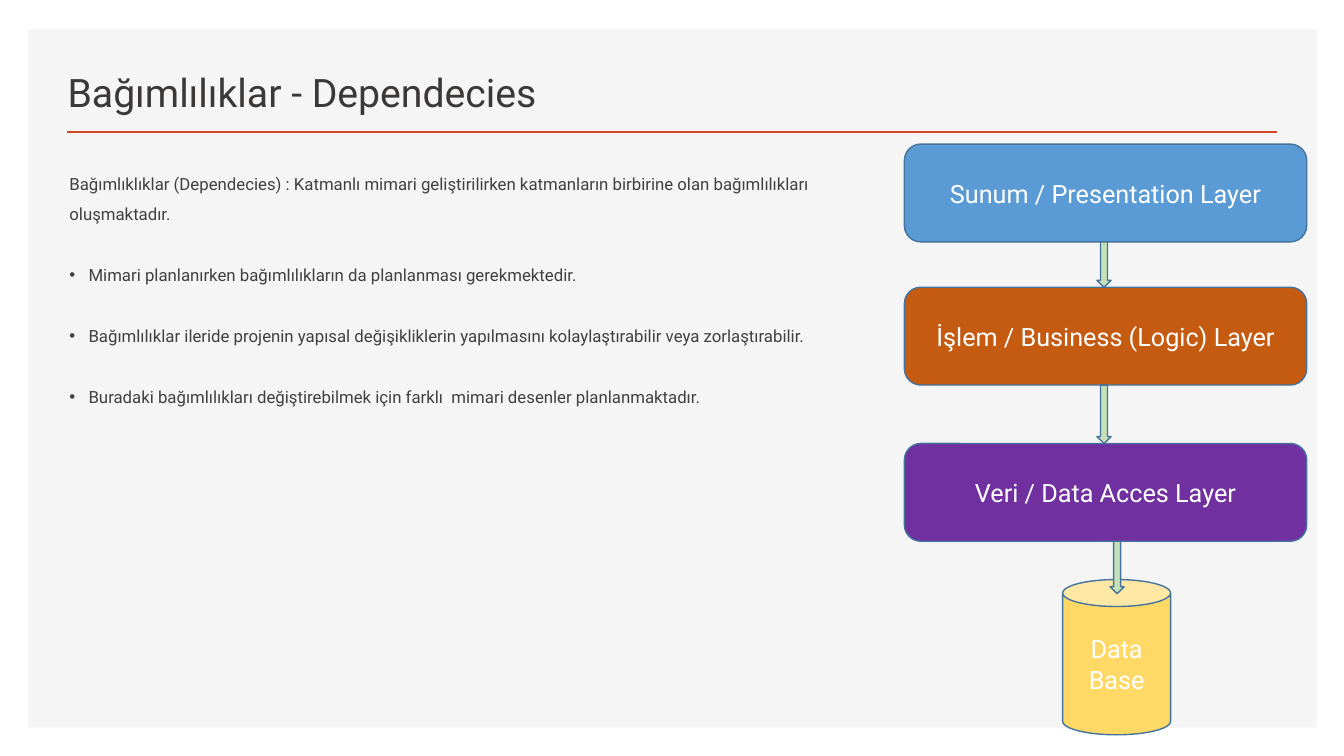
from lxml.etree import SubElement
from pptx import Presentation
from pptx.dml.color import RGBColor
from pptx.enum.shapes import MSO_CONNECTOR, MSO_SHAPE
from pptx.enum.text import MSO_ANCHOR, MSO_AUTO_SIZE, PP_ALIGN
from pptx.oxml.ns import qn
from pptx.util import Inches, Pt

FONT = "Roboto"
OUTLINE = "43739E"
TITLE = "Bağımlılıklar - Dependecies"
INTRO = ("Bağımlıklıklar (Dependecies) : Katmanlı mimari geliştirilirken katmanların "
         "birbirine olan bağımlılıkları oluşmaktadır.")
BULLETS = [
    "Mimari planlanırken bağımlılıkların da planlanması gerekmektedir.",
    "Bağımlılıklar ileride projenin yapısal değişikliklerin yapılmasını kolaylaştırabilir veya zorlaştırabilir.",
    "Buradaki bağımlılıkları değiştirebilmek için farklı  mimari desenler planlanmaktadır.",
]
LAYER_LEFT, LAYER_WIDTH, LAYER_HEIGHT = 8.97, 3.99, 0.97
LAYERS = [
    ("Sunum / Presentation Layer", 1.43, "5B9BD5"),
    ("İşlem / Business (Logic) Layer", 2.85, "C55A11"),
    ("Veri / Data Acces Layer", 4.4, "7030A0"),
]
DATABASE = ("Data\vBase", (10.54, 5.75, 1.07, 1.54), "FFD966")
ARROW_WIDTH = 0.14
ARROWS = [(10.95, 2.85), (10.95, 4.4), (11.08, 5.89)]


def color(value):
    return RGBColor.from_string(value)


def style(paragraph, size, value, align=PP_ALIGN.LEFT):
    paragraph.alignment = align
    paragraph.font.name = FONT
    paragraph.font.size = Pt(size)
    paragraph.font.color.rgb = color(value)


def add_block(page, kind, area, fill, text="", outline=OUTLINE):
    block = page.shapes.add_shape(kind, *map(Inches, area))
    block.shadow.inherit = False
    block.fill.solid()
    block.fill.fore_color.rgb = color(fill)
    if outline:
        block.line.color.rgb = color(outline)
        block.line.width = Pt(1)
    else:
        block.line.fill.background()
    if text:
        frame = block.text_frame
        frame.vertical_anchor = MSO_ANCHOR.MIDDLE
        paragraph = frame.paragraphs[0]
        paragraph.text = text
        style(paragraph, 18, "FFFFFF", PP_ALIGN.CENTER)
    return block


def add_title(page):
    title = page.shapes.title
    title.element.getparent().append(title.element)
    title.left, title.top, title.width, title.height = map(Inches, (0.57, 0.49, 7.52, 0.7))
    frame = title.text_frame
    frame.text = TITLE
    frame.auto_size = MSO_AUTO_SIZE.NONE
    frame.vertical_anchor = MSO_ANCHOR.BOTTOM
    style(frame.paragraphs[0], 28, "3B3838")


def add_rule(page):
    rule = page.shapes.add_connector(
        MSO_CONNECTOR.STRAIGHT, *map(Inches, (0.66, 1.31, 12.67, 1.31)))
    rule.line.color.rgb = color("D24726")
    rule.line.width = Pt(2)
    SubElement(rule.element.spPr, qn("a:effectLst"))


def add_body(page):
    frame = page.shapes.add_textbox(*map(Inches, (0.59, 1.57, 8.26, 5.01))).text_frame
    frame.word_wrap = True
    for index, text in enumerate([INTRO, *BULLETS]):
        paragraph = frame.add_paragraph() if index else frame.paragraphs[0]
        paragraph.text = text
        style(paragraph, 12, "404040")
        paragraph.line_spacing = 1.5
        paragraph.space_before = Pt(10)
        paragraph.space_after = Pt(12)
        if index:
            properties = paragraph._p.get_or_add_pPr()
            properties.set("marL", str(Inches(0.19)))
            properties.set("indent", str(-Inches(0.19)))
            SubElement(properties, qn("a:buFont"), typeface="Arial")
            SubElement(properties, qn("a:buChar"), char="•")


def add_diagram(page):
    for text, top, fill in LAYERS:
        area = (LAYER_LEFT, top, LAYER_WIDTH, LAYER_HEIGHT)
        add_block(page, MSO_SHAPE.ROUNDED_RECTANGLE, area, fill, text)
    text, area, fill = DATABASE
    add_block(page, MSO_SHAPE.CAN, area, fill, text)
    for (_, layer_top, _), (center, bottom) in zip(LAYERS, ARROWS):
        top = layer_top + LAYER_HEIGHT
        area = (center - ARROW_WIDTH / 2, top, ARROW_WIDTH, bottom - top)
        add_block(page, MSO_SHAPE.DOWN_ARROW, area, "C5E0B4")


def main():
    deck = Presentation()
    deck.slide_width, deck.slide_height = Inches(13.33), Inches(7.5)
    page = deck.slides.add_slide(deck.slide_layouts[5])
    add_block(page, MSO_SHAPE.RECTANGLE, (0.28, 0.29, 12.78, 6.93), "F5F5F5", outline=None)
    add_rule(page)
    add_title(page)
    add_body(page)
    add_diagram(page)
    deck.save("out.pptx")


if __name__ == "__main__":
    main()
